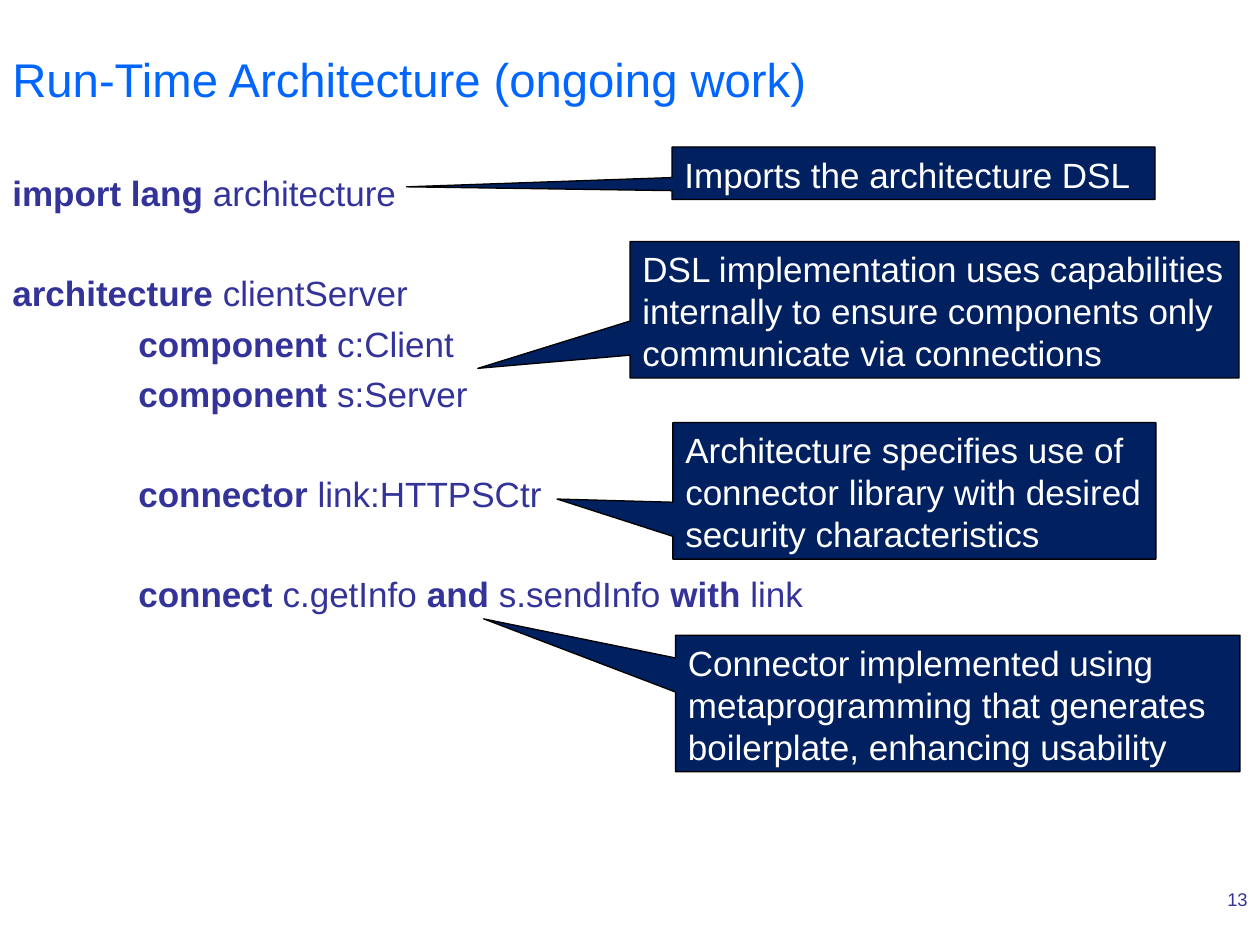
"""Build the run-time architecture slide: code listing with explanatory callouts."""
from typing import NamedTuple

from pptx import Presentation
from pptx.dml.color import RGBColor
from pptx.enum.shapes import MSO_SHAPE as SHAPE
from pptx.enum.text import MSO_ANCHOR as ANCHOR, PP_ALIGN as ALIGN
from pptx.util import Pt

FONT = "Arial"
TITLE_BLUE = RGBColor(0x00, 0x66, 0xFF)
CODE_BLUE = RGBColor(0x33, 0x33, 0x99)
NAVY = RGBColor(0x00, 0x20, 0x60)
BLACK = RGBColor(0, 0, 0)
WHITE = RGBColor(0xFF, 0xFF, 0xFF)
CODE_SIZE = 20
LINE_GAP = 5
GROUP_GAP = 33
INDENT = 72


class Box(NamedTuple):
    left: float
    top: float
    width: float
    height: float


class CodeLine(NamedTuple):
    tokens: tuple[str, ...]
    gap: float = LINE_GAP
    indent: float = INDENT


class Callout(NamedTuple):
    box: Box
    tip: tuple[float, float]
    text: str


CODE = (
    CodeLine(("import lang", " architecture"), 0, 0),
    CodeLine(("architecture ", "clientServer"), GROUP_GAP, 0),
    CodeLine(("component ", "c:Client")),
    CodeLine(("component ", "s:Server")),
    CodeLine(("connector ", "link:HTTPSCtr"), GROUP_GAP),
    CodeLine(("connect ", "c.getInfo ", "and ", "s.sendInfo ", "with", " link"), GROUP_GAP),
)

CALLOUTS = (
    Callout(Box(384, 84, 276, 30), (-1.05, 0.26), "Imports the architecture DSL"),
    Callout(Box(360, 138, 348, 78), (-0.75, 0.43),
            "DSL implementation uses capabilities internally to ensure "
            "components only communicate via connections"),
    Callout(Box(384.5, 241.5, 276, 78), (-0.74, 0.06),
            "Architecture specifies use of connector library with desired "
            "security characteristics"),
    Callout(Box(386, 363, 322.5, 78), (-0.84, -0.62),
            "Connector implemented using metaprogramming that generates "
            "boilerplate, enhancing usability"),
)


def style_run(r, size: float, color: RGBColor, bold: bool = False) -> None:
    r.font.name = FONT
    r.font.size = Pt(size)
    r.font.color.rgb = color
    r.font.bold = bold


def add_text_box(s, box: Box, anchor=ANCHOR.TOP):
    tf = s.shapes.add_textbox(*map(Pt, box)).text_frame
    tf.word_wrap = True
    tf.vertical_anchor = anchor
    return tf


def add_label(s, box: Box, text: str, size: float, color: RGBColor,
              align=ALIGN.LEFT, anchor=ANCHOR.TOP) -> None:
    tf = add_text_box(s, box, anchor)
    tf.text = text
    p = tf.paragraphs[0]
    p.alignment = align
    style_run(p.runs[0], size, color)


def add_code(s, box: Box, lines: tuple[CodeLine, ...]) -> None:
    tf = add_text_box(s, box)
    for i, line in enumerate(lines):
        p = tf.add_paragraph() if i else tf.paragraphs[0]
        p.space_before = Pt(line.gap)
        p._p.get_or_add_pPr().set("marL", str(Pt(line.indent)))
        for j, token in enumerate(line.tokens):
            r = p.add_run()
            r.text = token
            style_run(r, CODE_SIZE, CODE_BLUE, bold=j % 2 == 0)


def add_callout(s, callout: Callout) -> None:
    sp = s.shapes.add_shape(SHAPE.RECTANGULAR_CALLOUT, *map(Pt, callout.box))
    sp.adjustments[0], sp.adjustments[1] = callout.tip
    sp.shadow.inherit = False
    sp.fill.solid()
    sp.fill.fore_color.rgb = NAVY
    sp.line.color.rgb = BLACK
    sp.line.width = Pt(0.75)
    tf = sp.text_frame
    tf.word_wrap = True
    tf.vertical_anchor = ANCHOR.TOP
    tf.text = callout.text
    p = tf.paragraphs[0]
    p.alignment = ALIGN.LEFT
    style_run(p.runs[0], CODE_SIZE, WHITE)


def main() -> None:
    prs = Presentation()
    prs.slide_width, prs.slide_height = Pt(720), Pt(540)
    s = prs.slides.add_slide(prs.slide_layouts[6])
    add_label(s, Box(0, 0, 720, 90), "Run-Time Architecture (ongoing work)",
              27, TITLE_BLUE, anchor=ANCHOR.MIDDLE)
    add_code(s, Box(0, 94.5, 720, 445.5), CODE)
    add_label(s, Box(540, 504, 180, 19.5), "13", 10.5, CODE_BLUE, ALIGN.RIGHT)
    for callout in CALLOUTS:
        add_callout(s, callout)
    prs.save("out.pptx")


if __name__ == "__main__":
    main()
